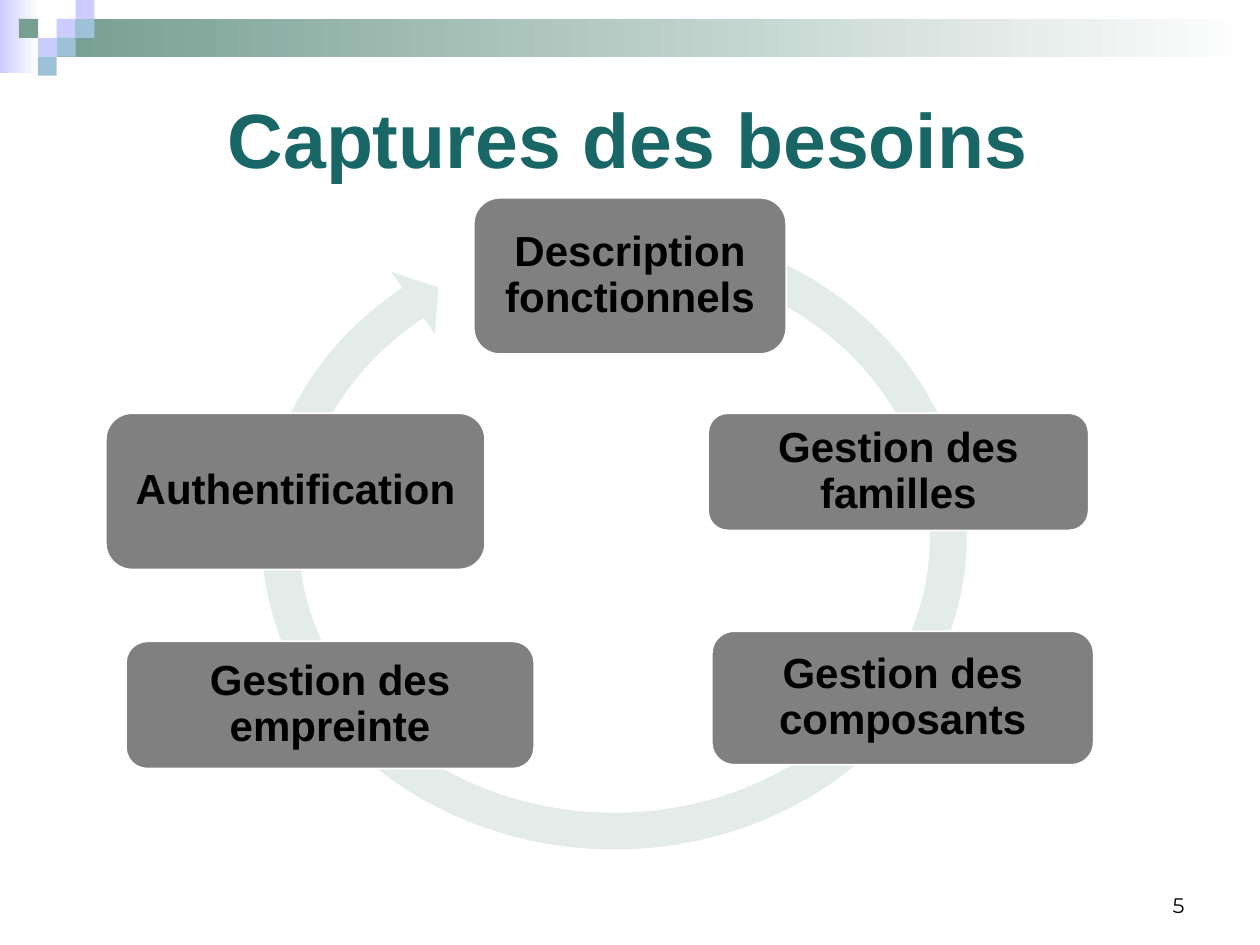
from typing import NamedTuple

from pptx import Presentation
from pptx import util as u
from pptx.dml import color
from pptx.enum import shapes, text

COLUMNS, ROWS = 100, 75
PIXEL = 1.5
COLORS = {
    "lilac": "CCCCFF",
    "sage": "779F92",
    "sky": "9DC2D7",
    "white": "FFFFFF",
    "teal": "196666",
    "ring": "E4ECE9",
    "gray": "808080",
    "black": "000000",
}


class Area(NamedTuple):
    left: float
    top: float
    width: float
    height: float


class Band(NamedTuple):
    area: Area
    tint: str


class Pixel(NamedTuple):
    column: int
    row: int
    tint: str


class Step(NamedTuple):
    label: str
    area: Area


class Style(NamedTuple):
    font: str
    size: int
    tint: str
    bold: bool
    align: text.PP_ALIGN


BANDS = [
    Band(Area(0, 0, 3.1, 5.8), "lilac"),
    Band(Area(4.5, 1.5, 95.5, 3), "sage"),
]
PIXELS = [
    Pixel(3, 1, "lilac"),
    Pixel(4, 0, "lilac"),
    Pixel(4, 1, "sky"),
    Pixel(2, 2, "lilac"),
    Pixel(1, 1, "sage"),
    Pixel(3, 2, "sky"),
    Pixel(2, 3, "sky"),
]
STEPS = [
    Step("Description fonctionnels", Area(37.6, 15.7, 24.8, 12.4)),
    Step("Gestion des familles", Area(56.2, 32.8, 30.2, 9.3)),
    Step("Gestion des composants", Area(56.5, 50.1, 30.3, 10.6)),
    Step("Gestion des empreinte", Area(10, 50.9, 32.4, 10.1)),
    Step("Authentification", Area(8.4, 32.8, 30.1, 12.4)),
]
RING = Area(19.2, 16.3, 59.1, 52.7)
RING_THICKNESS = 5.54 / 100
RING_HEAD = 5.76 / 100
RING_DEGREES = (5.51, 229.36, 289.91)
DEGREE = 0.6

TITLE_STYLE = Style("Arial", 44, "teal", True, text.PP_ALIGN.CENTER)
STEP_STYLE = Style("Arial", 24, "black", True, text.PP_ALIGN.CENTER)
NUMBER_STYLE = Style("Montserrat", 12, "black", False, text.PP_ALIGN.RIGHT)


def rgb(name: str) -> color.RGBColor:
    return color.RGBColor.from_string(COLORS[name])


def place(deck, area: Area) -> list[int]:
    cell_width = deck.slide_width / COLUMNS
    cell_height = deck.slide_height / ROWS
    return [
        round(area.left * cell_width),
        round(area.top * cell_height),
        round(area.width * cell_width),
        round(area.height * cell_height),
    ]


def add_box(deck, page, kind: shapes.MSO_SHAPE, area: Area, tint: str):
    box = page.shapes.add_shape(kind, *place(deck, area))
    box.shadow.inherit = False
    box.fill.solid()
    box.fill.fore_color.rgb = rgb(tint)
    box.line.fill.background()
    return box


def write(box, words: str, style: Style, anchor: text.MSO_ANCHOR):
    frame = box.text_frame
    frame.word_wrap = True
    frame.vertical_anchor = anchor
    frame.text = words
    para = frame.paragraphs[0]
    para.alignment = style.align
    font = para.runs[0].font
    font.name = style.font
    font.size = u.Pt(style.size)
    font.bold = style.bold
    font.color.rgb = rgb(style.tint)
    return para


def add_band(deck, page, band: Band) -> None:
    box = add_box(deck, page, shapes.MSO_SHAPE.RECTANGLE, band.area, band.tint)
    box.fill.gradient()
    box.fill.gradient_angle = 0
    for stop, tint in zip(box.fill.gradient_stops, (band.tint, "white")):
        stop.color.rgb = rgb(tint)


def add_pixel(deck, page, pixel: Pixel) -> None:
    area = Area(pixel.column * PIXEL, pixel.row * PIXEL, PIXEL, PIXEL)
    add_box(deck, page, shapes.MSO_SHAPE.RECTANGLE, area, pixel.tint)


def add_ring(deck, page) -> None:
    ring = add_box(deck, page, shapes.MSO_SHAPE.CIRCULAR_ARROW, RING, "ring")
    angles = [degrees * DEGREE for degrees in RING_DEGREES]
    for index, value in enumerate([RING_THICKNESS, *angles, RING_HEAD]):
        ring.adjustments[index] = value


def add_step(deck, page, step: Step) -> None:
    box = add_box(deck, page, shapes.MSO_SHAPE.ROUNDED_RECTANGLE, step.area, "gray")
    box.line.color.rgb = rgb("white")
    box.line.width = u.Pt(1)
    frame = box.text_frame
    frame.margin_left = frame.margin_right = u.Inches(0.1)
    frame.margin_top = frame.margin_bottom = u.Inches(0.1)
    para = write(box, step.label, STEP_STYLE, text.MSO_ANCHOR.MIDDLE)
    para.line_spacing = 0.9


def add_label(deck, page, area: Area, words: str, style: Style, anchor: text.MSO_ANCHOR) -> None:
    box = page.shapes.add_textbox(*place(deck, area))
    write(box, words, style, anchor)


def main() -> None:
    deck = Presentation()
    deck.slide_width, deck.slide_height = u.Inches(10), u.Inches(7.5)
    page = deck.slides.add_slide(deck.slide_layouts[6])
    for band in BANDS:
        add_band(deck, page, band)
    for pixel in PIXELS:
        add_pixel(deck, page, pixel)
    add_label(deck, page, Area(71.7, 68.3, 23.3, 5), "5", NUMBER_STYLE, text.MSO_ANCHOR.BOTTOM)
    add_label(deck, page, Area(4.7, 6.8, 90.3, 8.4), "Captures des besoins", TITLE_STYLE, text.MSO_ANCHOR.TOP)
    add_ring(deck, page)
    for step in STEPS:
        add_step(deck, page, step)
    deck.save("out.pptx")


if __name__ == "__main__":
    main()
